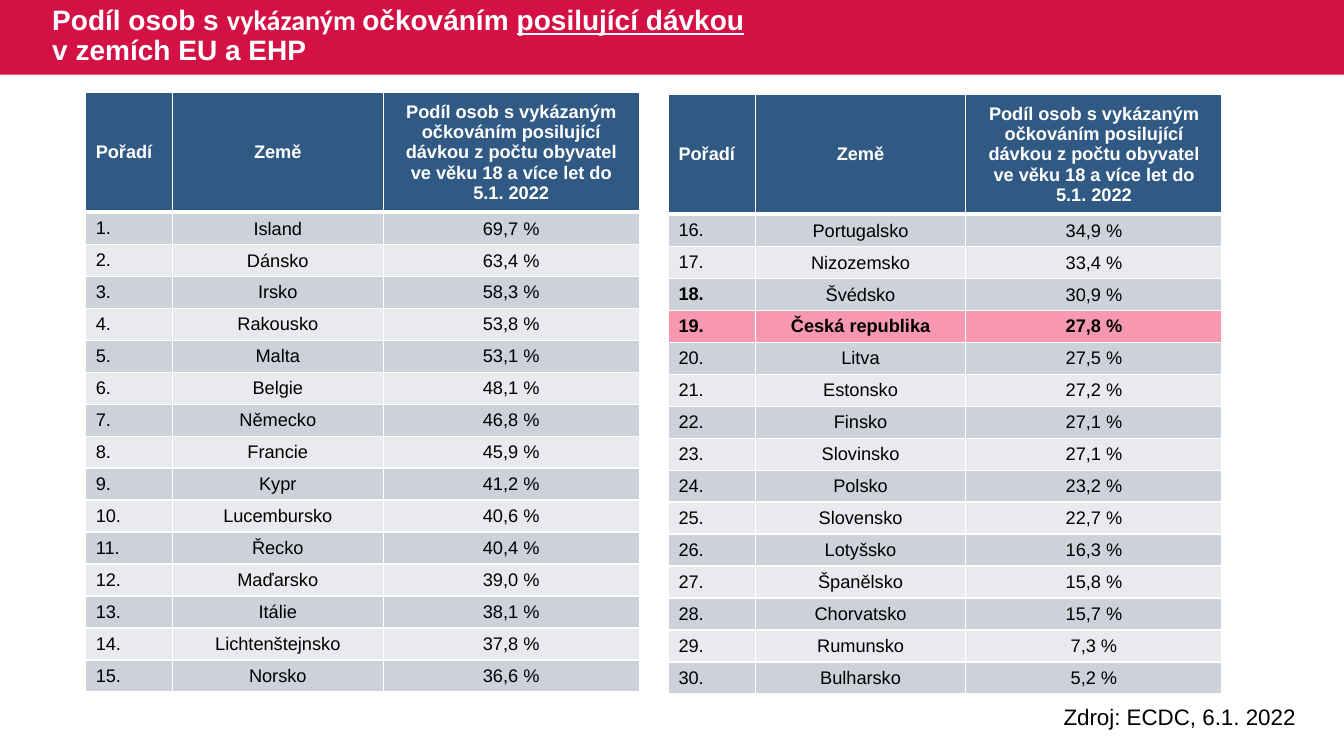
from lxml.etree import SubElement
from pptx import Presentation
from pptx.dml.color import RGBColor
from pptx.enum.shapes import MSO_SHAPE
from pptx.enum.text import MSO_ANCHOR, PP_ALIGN
from pptx.oxml.ns import qn
from pptx.util import Inches, Pt

# Content
TITLE_LINES = [
    [("Podíl osob s ", {}), ("vykázaným ", {"name": "Calibri"}),
     ("očkováním ", {}), ("posilující dávkou", {"underline": True})],
    [("v zemích EU a EHP", {})],
]
HEADERS = (
    "Pořadí", "Země",
    "Podíl osob s vykázaným očkováním posilující dávkou z počtu obyvatel "
    "ve věku 18 a více let do 5.1. 2022",
)
COUNTRIES = [
    ("Island", "69,7 %"), ("Dánsko", "63,4 %"), ("Irsko", "58,3 %"),
    ("Rakousko", "53,8 %"), ("Malta", "53,1 %"), ("Belgie", "48,1 %"),
    ("Německo", "46,8 %"), ("Francie", "45,9 %"), ("Kypr", "41,2 %"),
    ("Lucembursko", "40,6 %"), ("Řecko", "40,4 %"), ("Maďarsko", "39,0 %"),
    ("Itálie", "38,1 %"), ("Lichtenštejnsko", "37,8 %"), ("Norsko", "36,6 %"),
    ("Portugalsko", "34,9 %"), ("Nizozemsko", "33,4 %"), ("Švédsko", "30,9 %"),
    ("Česká republika", "27,8 %"), ("Litva", "27,5 %"), ("Estonsko", "27,2 %"),
    ("Finsko", "27,1 %"), ("Slovinsko", "27,1 %"), ("Polsko", "23,2 %"),
    ("Slovensko", "22,7 %"), ("Lotyšsko", "16,3 %"), ("Španělsko", "15,8 %"),
    ("Chorvatsko", "15,7 %"), ("Rumunsko", "7,3 %"), ("Bulharsko", "5,2 %"),
]
SOURCE = "Zdroj: ECDC, 6.1. 2022"
HIGHLIGHTED_RANK = 19
BOLD_RANK = 18

# Look and layout
COLORS = {
    "band": "D31145", "header": "305983", "odd": "CDD1D9", "even": "E8EAED",
    "highlight": "F797B0", "white": "FFFFFF", "black": "000000",
}
TABLE_POSITIONS = [(0.85, 0.92), (6.63, 0.94)]
COLUMN_WIDTHS = (0.86, 2.09, 2.54)
HEADER_HEIGHT, ROW_HEIGHT, FRAME_HEIGHT = 0.72, 0.25, 5.93
ROWS_PER_TABLE = 15
TIGHT_MARGINS = {"margin_left": 0.01, "margin_top": 0.01,
                 "margin_right": 0.01, "margin_bottom": 0}


def color(name):
    return RGBColor.from_string(COLORS[name])


def format_font(font, color_name, **values):
    for key, value in {"name": "Arial", **values}.items():
        setattr(font, key, value)
    font.color.rgb = color(color_name)


def add_text_box(slide, left, top, width, height, anchor):
    frame = slide.shapes.add_textbox(
        Inches(left), Inches(top), Inches(width), Inches(height)).text_frame
    frame.word_wrap = True
    frame.vertical_anchor = anchor
    return frame.paragraphs[0]


def add_borders(cell, widths):
    properties = cell._tc.get_or_add_tcPr()
    for side, width in widths.items():
        line = SubElement(properties, qn(f"a:ln{side}"), w=str(Pt(width)))
        fill = SubElement(line, qn("a:solidFill"))
        SubElement(fill, qn("a:srgbClr"), val=COLORS["white"])


def fill_cell(cell, text, row, column, fill_name, bold):
    is_header = row == 0
    add_borders(cell, {"L": 1, "R": 1, "T": 3 if row == 1 else 1,
                       "B": 3 if is_header else 1})
    cell.fill.solid()
    cell.fill.fore_color.rgb = color(fill_name)
    cell.vertical_anchor = MSO_ANCHOR.MIDDLE
    if column and not is_header:
        for side, margin in TIGHT_MARGINS.items():
            setattr(cell, side, Inches(margin))
    paragraph = cell.text_frame.paragraphs[0]
    paragraph.alignment = PP_ALIGN.CENTER if column else PP_ALIGN.LEFT
    run = paragraph.add_run()
    run.text = text
    format_font(run.font, "white" if is_header else "black",
                size=Pt(13), bold=bold)


def add_ranking(slide, left, top, first_rank):
    frame = slide.shapes.add_table(
        ROWS_PER_TABLE + 1, len(HEADERS), Inches(left), Inches(top),
        Inches(sum(COLUMN_WIDTHS)), Inches(FRAME_HEIGHT))
    table = frame.table
    for column, width in zip(table.columns, COLUMN_WIDTHS):
        column.width = Inches(width)
    for index, table_row in enumerate(table.rows):
        table_row.height = Inches(ROW_HEIGHT if index else HEADER_HEIGHT)
    frame.height = Inches(FRAME_HEIGHT)

    for column, header in enumerate(HEADERS):
        fill_cell(table.cell(0, column), header, 0, column, "header", True)
    for row in range(1, ROWS_PER_TABLE + 1):
        rank = first_rank + row - 1
        highlighted = rank == HIGHLIGHTED_RANK
        fill_name = "highlight" if highlighted else "odd" if row % 2 else "even"
        for column, text in enumerate((f"{rank}.", *COUNTRIES[rank - 1])):
            bold = highlighted or (rank == BOLD_RANK and column == 0)
            fill_cell(table.cell(row, column), text, row, column, fill_name, bold)


def main():
    presentation = Presentation()
    presentation.slide_width = Inches(13.33)
    presentation.slide_height = Inches(7.5)
    slide = presentation.slides.add_slide(presentation.slide_layouts[6])

    # Title band
    band = slide.shapes.add_shape(
        MSO_SHAPE.RECTANGLE, 0, 0, presentation.slide_width, Inches(0.74))
    band.shadow.inherit = False
    band.fill.solid()
    band.fill.fore_color.rgb = color("band")
    band.line.fill.background()

    # Title
    title = add_text_box(slide, 0.42, 0, 8.16, 0.73, MSO_ANCHOR.MIDDLE)
    title.line_spacing = 0.9
    for index, line in enumerate(TITLE_LINES):
        if index:
            title.add_line_break()
        for text, values in line:
            run = title.add_run()
            run.text = text
            format_font(run.font, "white", size=Pt(20), bold=True, **values)

    # Ranking tables
    for index, (left, top) in enumerate(TABLE_POSITIONS):
        add_ranking(slide, left, top, index * ROWS_PER_TABLE + 1)

    # Data source
    source = add_text_box(slide, 10.45, 6.93, 3.13, 0.37, MSO_ANCHOR.TOP)
    run = source.add_run()
    run.text = SOURCE
    format_font(run.font, "black", size=Pt(16))

    presentation.save("out.pptx")


if __name__ == "__main__":
    main()
